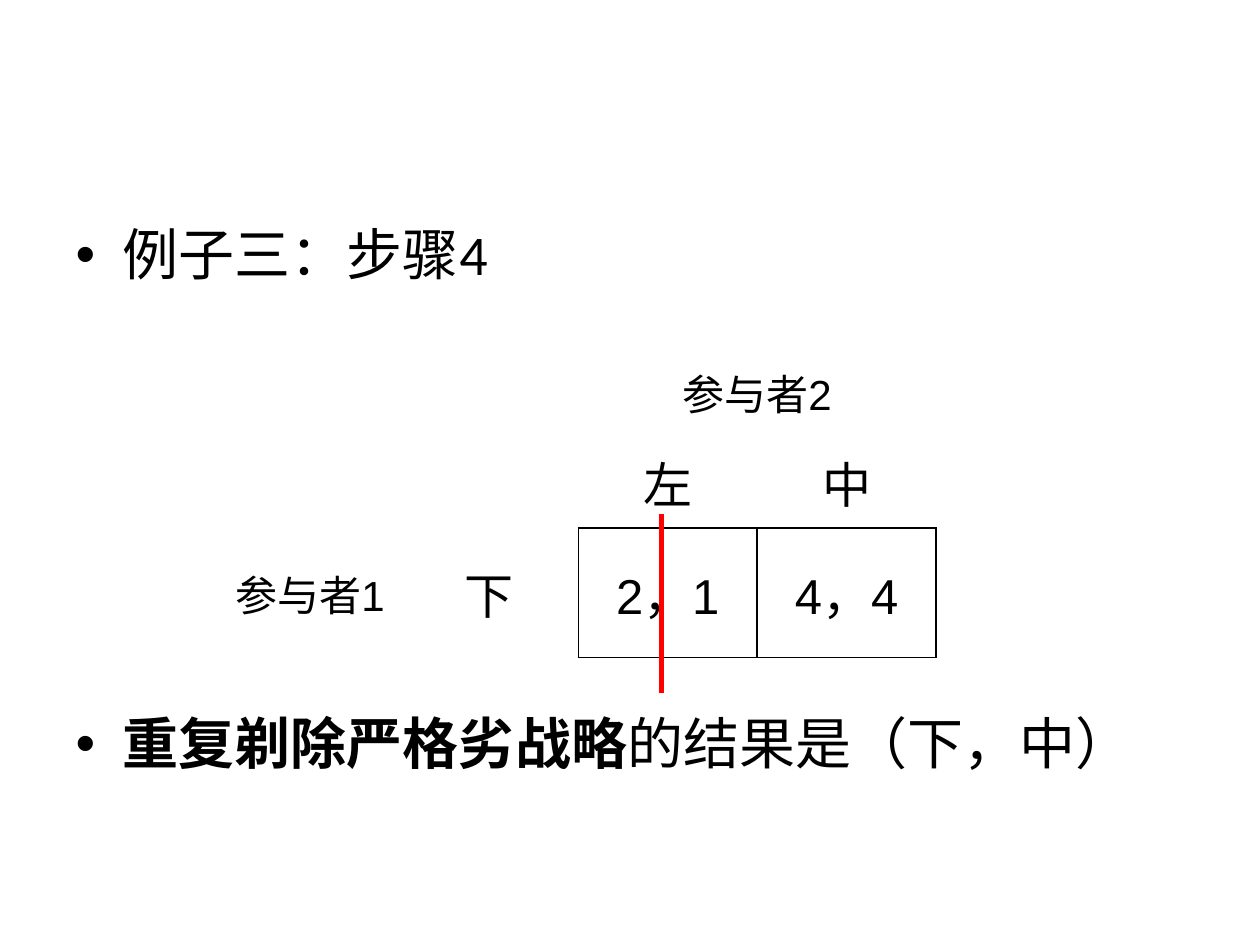
import pptx
import pptx.util
import pptx.dml.color
import pptx.enum.shapes
import pptx.enum.text
import pptx.oxml
import pptx.oxml.ns

BULLETS = [
    # space before in points, runs of (text, bold)
    (0, [("例子三：步骤4", False)]),
    (245, [("重复剃除严格劣战略", True), ("的结果是（下，中）", False)]),
]
PLAYER_SIZE, MOVE_SIZE = 24, 28
GAME = [
    # row, column, text, size, bordered sides
    (0, 2, "参与者2", PLAYER_SIZE, ""),
    (1, 2, "左", MOVE_SIZE, "B"),
    (1, 3, "中", MOVE_SIZE, "B"),
    (2, 0, "参与者1", PLAYER_SIZE, ""),
    (2, 1, "下", MOVE_SIZE, "R"),
    (2, 2, "2，1", MOVE_SIZE, "LRTB"),
    (2, 3, "4，4", MOVE_SIZE, "LRTB"),
]
COLUMN_WIDTHS = [142] * 4
ROW_HEIGHTS = [72, 72, 103]
TABLE_LEFT, TABLE_TOP = 175, 275
STRIKE_X, STRIKE_TOP, STRIKE_BOTTOM = 525, 408, 550


def px(length):
    """Convert px, at 100 to the inch, to EMU."""
    return pptx.util.Emu(length * 9144)


def color(code):
    return pptx.dml.color.RGBColor.from_string(code)


def add_text(paragraph, text, size, font="Arial", bold=False, align=None):
    paragraph.alignment = align
    run = paragraph.add_run()
    run.text = text
    run.font.size = pptx.util.Pt(size)
    run.font.name = font
    run.font.bold = bold
    run.font.color.rgb = color("000000")


def add_borders(cell, sides):
    properties = cell._tc.get_or_add_tcPr()
    for index, side in enumerate(sides):
        properties.insert(index, pptx.oxml.parse_xml(
            f'<a:ln{side} {pptx.oxml.ns.nsdecls("a")} w="12700"><a:solidFill>'
            f'<a:srgbClr val="000000"/></a:solidFill></a:ln{side}>'))


def add_bullets(slide):
    body = slide.placeholders[1]
    body.left, body.top, body.width, body.height = map(px, (50, 175, 900, 550))
    frame = body.text_frame
    frame.auto_size = pptx.enum.text.MSO_AUTO_SIZE.NONE
    for index, (space_before, runs) in enumerate(BULLETS):
        paragraph = frame.add_paragraph() if index else frame.paragraphs[0]
        paragraph.line_spacing = 0.9
        paragraph.space_before = pptx.util.Pt(space_before)
        for text, bold in runs:
            add_text(paragraph, text, 32, font="Calibri", bold=bold)


def add_game(slide):
    game = slide.shapes.add_table(
        len(ROW_HEIGHTS), len(COLUMN_WIDTHS), px(TABLE_LEFT), px(TABLE_TOP),
        px(sum(COLUMN_WIDTHS)), px(sum(ROW_HEIGHTS))).table
    game.first_row = game.horz_banding = False
    for column, width in zip(game.columns, COLUMN_WIDTHS):
        column.width = px(width)
    for row, height in zip(game.rows, ROW_HEIGHTS):
        row.height = px(height)
    for cell in game.iter_cells():
        cell.fill.background()
        cell.vertical_anchor = pptx.enum.text.MSO_ANCHOR.MIDDLE
    game.cell(0, 2).merge(game.cell(0, 3))
    for row, column, text, size, sides in GAME:
        cell = game.cell(row, column)
        add_text(cell.text_frame.paragraphs[0], text, size,
                 align=pptx.enum.text.PP_ALIGN.CENTER)
        add_borders(cell, sides)


def add_strike(slide):
    strike = slide.shapes.add_connector(
        pptx.enum.shapes.MSO_CONNECTOR.STRAIGHT, px(STRIKE_X), px(STRIKE_TOP),
        px(STRIKE_X), px(STRIKE_BOTTOM))
    strike.line.color.rgb = color("FF0000")
    strike.line.width = pptx.util.Pt(3)
    strike._element.spPr.append(
        pptx.oxml.parse_xml(f'<a:effectLst {pptx.oxml.ns.nsdecls("a")}/>'))


def main():
    deck = pptx.Presentation()
    deck.slide_width, deck.slide_height = px(1000), px(750)
    slide = deck.slides.add_slide(deck.slide_layouts[1])
    empty_title = slide.shapes.title._element
    empty_title.getparent().remove(empty_title)
    add_bullets(slide)
    add_game(slide)
    add_strike(slide)
    deck.save("out.pptx")


if __name__ == "__main__":
    main()
